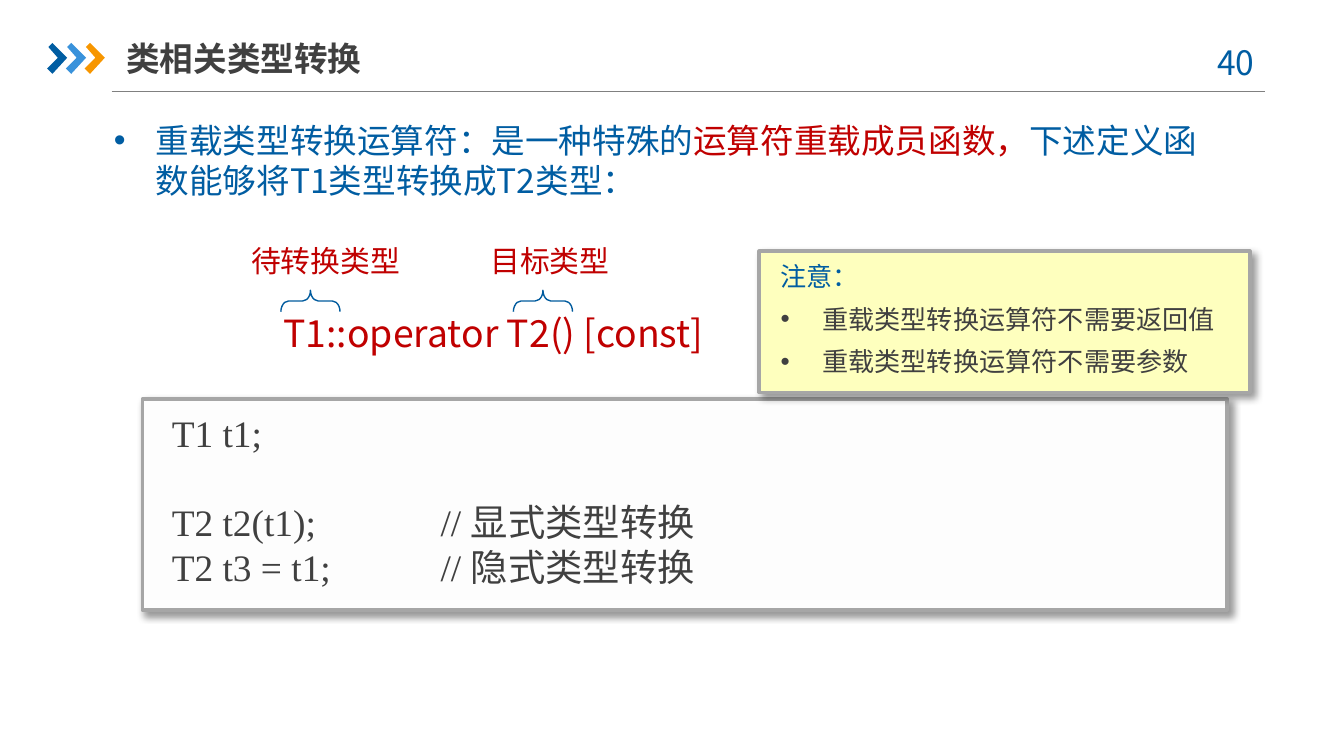
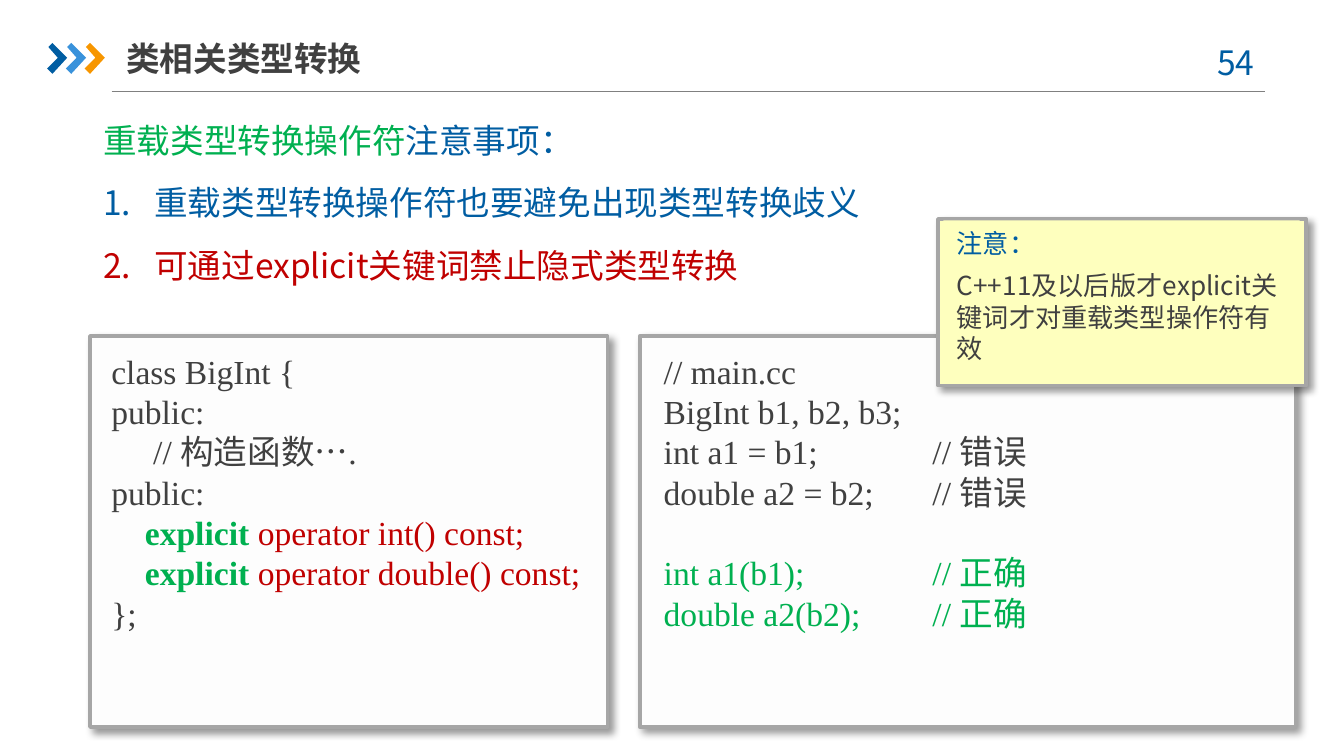
"""Builds two slides on class type conversion operators in C++."""
from lxml import etree
from pptx import Presentation
from pptx.dml.color import RGBColor
from pptx.enum.shapes import MSO_CONNECTOR, MSO_SHAPE
from pptx.enum.text import MSO_ANCHOR, PP_ALIGN
from pptx.oxml.ns import qn
from pptx.util import Inches, Pt

RECTANGLE, BRACE = MSO_SHAPE.RECTANGLE, MSO_SHAPE.LEFT_BRACE
STRAIGHT = MSO_CONNECTOR.STRAIGHT
TOP, MIDDLE = MSO_ANCHOR.TOP, MSO_ANCHOR.MIDDLE
LEFT, CENTER = PP_ALIGN.LEFT, PP_ALIGN.CENTER

SANS, SERIF = "Noto Sans CJK SC", "Times New Roman"
BLUE, SKY, ORANGE = "005DA2", "3992DB", "F79600"
RED, GREEN, INK = "C00000", "00B050", "404040"
GRAY, RULE, PAPER, NOTE = "A6A6A6", "808080", "FDFDFD", "FEFFBE"
BRACE_BLUE = "005B9E"
color = RGBColor.from_string

BULLETS = {
    "dot": (3.1, [("a:buFont", "typeface", "Arial"), ("a:buChar", "char", "•")]),
    "number": (3.8, [("a:buAutoNum", "type", "arabicPeriod")]),
}

presentation = Presentation()
presentation.slide_width = Inches(10)
presentation.slide_height = presentation.slide_width * 9 // 16
COLUMN = presentation.slide_width / 100
COMMENT_TAB = 20 * COLUMN


def write(shape, size, paragraphs, font=SANS, after=0):
    """Fill a shape with (bullet, runs) paragraphs; one without runs adds a line of space."""
    frame = shape.text_frame
    frame.word_wrap = True
    frame.vertical_anchor = TOP
    space_before = 0
    paragraph = frame.paragraphs[0]
    for index, (bullet, runs) in enumerate(paragraphs):
        if not runs:
            space_before = 1.2 * size
            continue
        if index:
            paragraph = frame.add_paragraph()
        properties = paragraph._p.get_or_add_pPr()
        if bullet:
            indent, marks = BULLETS[bullet]
            properties.set("marL", str(int(indent * COLUMN)))
            properties.set("indent", str(int(-indent * COLUMN)))
            for tag, name, value in marks:
                etree.SubElement(properties, qn(tag)).set(name, value)
        if "\t" in runs[0][0]:
            tabs = etree.SubElement(properties, qn("a:tabLst"))
            etree.SubElement(tabs, qn("a:tab"), pos=str(int(COMMENT_TAB)), algn="l")
        paragraph.alignment = LEFT
        paragraph.line_spacing = Pt(1.2 * size)
        paragraph.space_before = Pt(space_before)
        paragraph.space_after = Pt(after)
        space_before = 0
        for text, ink, *bold in runs:
            run = paragraph.add_run()
            run.text = text
            run.font.name = font
            run.font.size = Pt(size)
            run.font.bold = bool(bold)
            run.font.color.rgb = color(ink)
            east_asian = etree.SubElement(run._r.get_or_add_rPr(), qn("a:ea"))
            east_asian.set("typeface", SANS)


def add_panel(slide, frame_box, text_box, fill):
    """Add a bordered frame with a shadow and return the plain text area on it."""
    for box in (frame_box, text_box):
        shape = slide.shapes.add_shape(RECTANGLE, *[int(v * COLUMN) for v in box])
        shape.shadow.inherit = False
        shape.fill.solid()
        shape.fill.fore_color.rgb = color(fill)
        if box is text_box:
            shape.line.fill.background()
            continue
        shape.line.color.rgb = color(GRAY)
        shape.line.width = Pt(2)
        effects = shape._element.spPr.find(qn("a:effectLst"))
        shadow = etree.SubElement(effects, qn("a:outerShdw"), blurRad=str(Pt(4)),
                                  dist=str(Pt(3)), dir="2700000", algn="tl", rotWithShape="0")
        black = etree.SubElement(shadow, qn("a:srgbClr"), val="000000")
        etree.SubElement(black, qn("a:alpha"), val="40000")
    return shape


slides = []
for number in ("40 ", "54 "):
    slide = presentation.slides.add_slide(presentation.slide_layouts[6])
    slides.append(slide)
    rule = slide.shapes.add_connector(
        STRAIGHT, *[int(v * COLUMN) for v in (8.3, 6.83, 94.1, 6.83)])
    rule.line.color.rgb = color(RULE)
    rule.line.width = Pt(0.75)
    etree.SubElement(rule._element.spPr, qn("a:effectLst"))

    for index, fill in enumerate((BLUE, SKY, ORANGE)):
        left = 35 + 14 * index
        outline = [(left + x, y) for x, y in
                   ((1, 35), (4, 32), (15, 43), (4, 55), (0, 51), (8, 43))]
        builder = slide.shapes.build_freeform(*outline[0], scale=COLUMN / 10)
        builder.add_line_segments(outline[1:], close=True)
        chevron = builder.convert_to_shape()
        chevron.shadow.inherit = False
        chevron.fill.solid()
        chevron.fill.fore_color.rgb = color(fill)
        chevron.line.fill.background()

    page = slide.shapes.add_textbox(*[int(v * COLUMN) for v in (88.6, 2.6, 7.3, 4)])
    write(page, 18, [(None, [(number, BLUE)])])
    page.text_frame.paragraphs[0].alignment = CENTER

    title = slide.shapes.add_textbox(*[int(v * COLUMN) for v in (9.4, 2.2, 23.3, 4.2)])
    write(title, 18, [(None, [("类相关类型转换", INK, True)])])
    title.text_frame.margin_left = title.text_frame.margin_right = 0
    title.text_frame.vertical_anchor = MIDDLE

operator_slide, explicit_slide = slides

labels = [
    ((7.5, 8.4, 85, 7.1), 18, [("dot", [
        ("重载类型转换运算符：是一种特殊的", BLUE), ("运算符重载成员函数，", RED),
        ("下述定义函数能够将T1类型转换成T2类型：", BLUE)])]),
    ((20.1, 22.6, 47.2, 4.4), 20, [(None, [("T1::operator T2() [const]", RED)])]),
    ((17.7, 17.6, 14.2, 3.7), 16, [(None, [("待转换类型", RED)])]),
    ((35.5, 17.6, 14.2, 3.7), 16, [(None, [("目标类型", RED)])]),
]
for box, size, paragraphs in labels:
    label = operator_slide.shapes.add_textbox(*[int(v * COLUMN) for v in box])
    write(label, size, paragraphs, after=6)

for left in (22.3, 39.6):
    brace = operator_slide.shapes.add_shape(
        BRACE, *[int(v * COLUMN) for v in (left, 20.2, 1.6, 4.4)])
    brace.rotation = 90
    brace.adjustments[0] = 0.36
    brace.shadow.inherit = False
    brace.fill.background()
    brace.line.color.rgb = color(BRACE_BLUE)
    brace.line.width = Pt(0.75)

conversion_code = add_panel(
    operator_slide, (10.6, 29.7, 80.7, 15.7), (11.8, 30, 78.3, 14.5), PAPER)
write(conversion_code, 20, [
    (None, [("T1 t1;", INK)]),
    (None, []),
    (None, [("T2 t2(t1);\t// 显式类型转换", INK)]),
    (None, [("T2 t3 = t1;\t// 隐式类型转换", INK)]),
], font=SERIF)

operator_note = add_panel(
    operator_slide, (56.5, 18.7, 36.5, 10.5), (57.1, 18.9, 35.2, 9.8), NOTE)
write(operator_note, 14, [
    (None, [("注意：", BLUE)]),
    ("dot", [("重载类型转换运算符不需要返回值", INK)]),
    ("dot", [("重载类型转换运算符不需要参数", INK)]),
], after=6)

cautions = explicit_slide.shapes.add_textbox(
    *[int(v * COLUMN) for v in (6.7, 8.4, 86.6, 21.2)])
write(cautions, 18, [
    (None, [("重载类型转换操作符", GREEN), ("注意事项：", BLUE)]),
    ("number", [("重载类型转换操作符也要避免出现类型转换歧义", BLUE)]),
    ("number", [("可通过explicit关键词禁止隐式类型转换", RED)]),
], after=12)

class_code = add_panel(
    explicit_slide, (6.7, 25, 38.5, 29.1), (7.3, 25.6, 37.4, 25.2), PAPER)
write(class_code, 18, [
    (None, [("class BigInt {", INK)]),
    (None, [("public:", INK)]),
    (None, [("     // 构造函数….", INK)]),
    (None, [("public:", INK)]),
    *[(None, [("    ", RED), ("explicit ", GREEN, True), (f"operator {kind}() const;", RED)])
      for kind in ("int", "double")],
    (None, [("};", INK)]),
], font=SERIF)

main_code = add_panel(
    explicit_slide, (47.6, 25, 48.8, 29.1), (48.4, 25.6, 47.4, 22.2), PAPER)
write(main_code, 18, [
    (None, [("// main.cc", INK)]),
    (None, [("BigInt b1, b2, b3;", INK)]),
    (None, [("int a1 = b1;\t// 错误", INK)]),
    (None, [("double a2 = b2;\t// 错误", INK)]),
    (None, []),
    (None, [("int a1(b1);\t// 正确", GREEN)]),
    (None, [("double a2(b2);\t// 正确", GREEN)]),
], font=SERIF)

explicit_note = add_panel(
    explicit_slide, (69.8, 16.3, 27.4, 12.4), (70.2, 16.4, 26.5, 11.3), NOTE)
write(explicit_note, 14, [
    (None, [("注意：", BLUE)]),
    (None, [("C++11及以后版才explicit关键词才对重载类型操作符有效", INK)]),
], after=6)

presentation.save("out.pptx")
